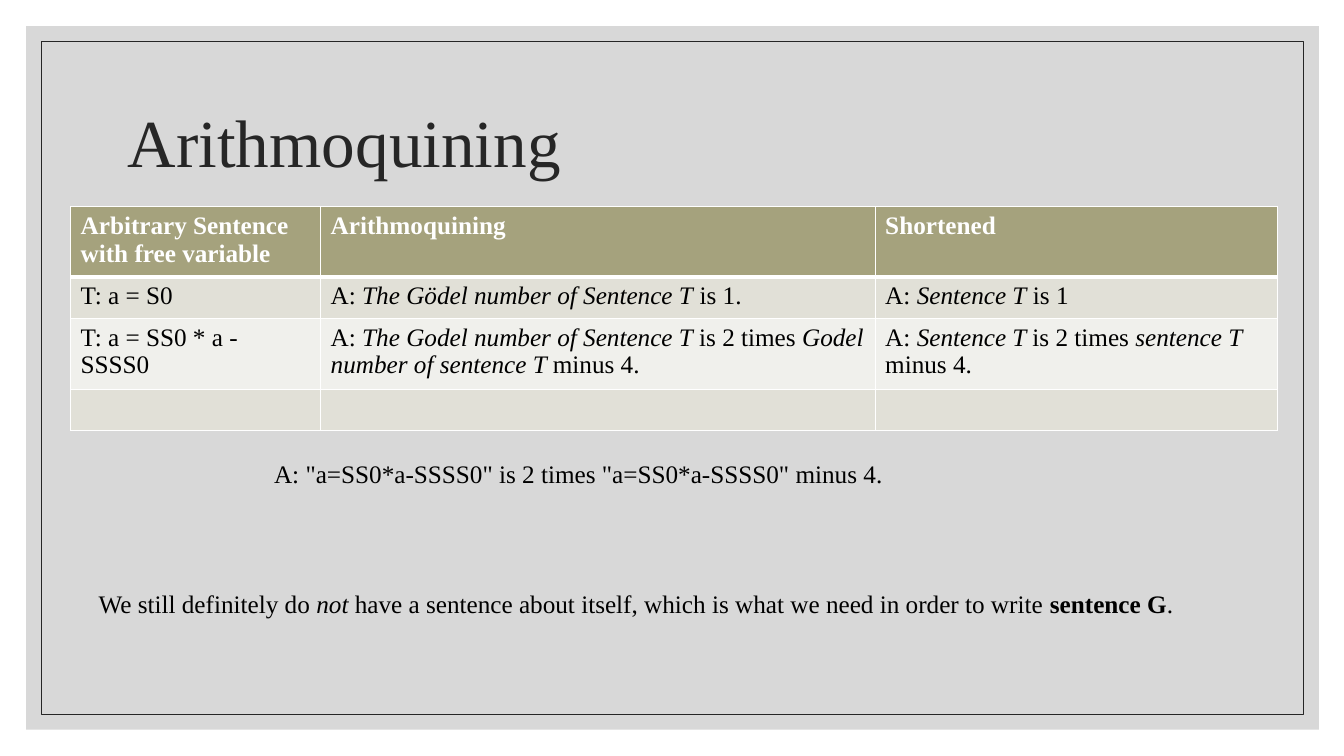
"""Build the Arithmoquining slide."""
from dataclasses import dataclass

from lxml.etree import SubElement
from pptx import Presentation
from pptx.dml.color import RGBColor
from pptx.enum.shapes import MSO_SHAPE
from pptx.enum.text import MSO_ANCHOR
from pptx.oxml import parse_xml
from pptx.oxml.ns import nsdecls, qn
from pptx.util import Inches, Pt


@dataclass(frozen=True)
class Theme:
    """Colours, font and type sizes of the slide."""
    font: str = "Times New Roman"
    title: int = 48
    body: int = 18
    dark: str = "262626"
    black: str = "000000"
    white: str = "FFFFFF"
    panel: str = "BFBFBF"
    head: str = "A5A27D"
    bands: tuple = ("E1E0D7", "F0F0EC")


THEME = Theme()
WIDTHS = (2.48, 5.5, 3.99)
HEIGHTS = (0.65, 0.41, 0.65, 0.41)


def ital(text):
    """Mark text as italic."""
    return text, "italic"


def bold(text):
    """Mark text as bold."""
    return text, "bold"


ROWS = (
    (["Arbitrary Sentence with free variable"], ["Arithmoquining"], ["Shortened"]),
    (
        ["T: a = S0"],
        ["A: ", ital("The Gödel number of Sentence T"), " is 1."],
        ["A: ", ital("Sentence T"), " is 1"],
    ),
    (
        ["T: a = SS0 * a - SSSS0"],
        ["A: ", ital("The Godel number of Sentence T "), "is 2 times ",
         ital("Godel number of sentence T "), "minus 4."],
        ["A: ", ital("Sentence T "), "is 2 times ", ital("sentence T "), "minus 4."],
    ),
    ([], [], []),
)


def tint(name):
    """Turn a hex name into a colour."""
    return RGBColor.from_string(name)


def write(frame, bits, size=THEME.body, color=THEME.black, strong=None):
    """Write plain and marked bits as one paragraph."""
    par = frame.paragraphs[0]
    par.font.name, par.font.size = THEME.font, Pt(size)
    par.font.color.rgb = tint(color)
    par.font.bold = strong
    for bit in bits:
        text, style = (bit, None) if isinstance(bit, str) else bit
        run = par.add_run()
        run.text = text
        if style:
            setattr(run.font, style, True)
    return par


def add_text(slide, box, bits, **look):
    """Add a wrapped text box and return its frame."""
    frame = slide.shapes.add_textbox(*map(Inches, box)).text_frame
    frame.word_wrap = True
    write(frame, bits, **look)
    return frame


def add_rect(slide, box):
    """Add a bare rectangle without shadow, fill or line."""
    rect = slide.shapes.add_shape(MSO_SHAPE.RECTANGLE, *map(Inches, box))
    rect.shadow.inherit = False
    rect.fill.background()
    rect.line.fill.background()
    return rect


def add_frame(slide):
    """Add the grey panel and the thin line inside it."""
    panel = add_rect(slide, (0.26, 0.26, 12.82, 6.98))
    panel.fill.solid()
    panel.fill.fore_color.rgb = tint(THEME.panel)
    color = panel.fill._xPr.find(qn("a:solidFill"))[0]
    SubElement(color, qn("a:alpha"), val="60000")
    edge = add_rect(slide, (0.41, 0.41, 12.52, 6.68))
    edge.line.color.rgb = tint(THEME.dark)
    edge.line.width = Pt(0.5)


def set_edges(cell, top, bottom):
    """Draw white borders round a cell, with widths in points."""
    props = cell._tc.get_or_add_tcPr()
    sides = (("lnL", 1), ("lnR", 1), ("lnT", top), ("lnB", bottom))
    for spot, (side, width) in enumerate(sides):
        props.insert(spot, parse_xml(
            f'<a:{side} {nsdecls("a")} w="{Pt(width)}"><a:solidFill>'
            f'<a:srgbClr val="{THEME.white}"/></a:solidFill></a:{side}>'))


def add_grid(slide):
    """Add the table of sentences."""
    box = (0.7, 2.05, sum(WIDTHS), sum(HEIGHTS))
    table = slide.shapes.add_table(
        len(ROWS), len(WIDTHS), *map(Inches, box)).table
    for col, width in zip(table.columns, WIDTHS):
        col.width = Inches(width)
    for i, (row, height) in enumerate(zip(ROWS, HEIGHTS)):
        table.rows[i].height = Inches(height)
        head = i == 0
        fill = THEME.head if head else THEME.bands[(i - 1) % 2]
        color = THEME.white if head else THEME.black
        for j, bits in enumerate(row):
            cell = table.cell(i, j)
            cell.fill.solid()
            cell.fill.fore_color.rgb = tint(fill)
            write(cell.text_frame, bits, color=color, strong=head)
            set_edges(cell, 3 if i == 1 else 1, 3 if head else 1)


def main():
    """Build and save the slide."""
    deck = Presentation()
    deck.slide_width, deck.slide_height = Inches(13.33), Inches(7.5)
    slide = deck.slides.add_slide(deck.slide_layouts[6])
    add_frame(slide)
    title = add_text(slide, (1.17, 0.7, 11, 1.5), ["Arithmoquining"],
                     size=THEME.title, color=THEME.dark)
    title.vertical_anchor = MSO_ANCHOR.MIDDLE
    title.paragraphs[0].line_spacing = 0.9
    add_grid(slide)
    add_text(slide, (2.62, 4.5, 6.67, 0.4),
             ['A: "a=SS0*a-SSSS0" is 2 times "a=SS0*a-SSSS0" minus 4.'])
    add_text(slide, (0.88, 5.79, 11.27, 0.4), [
        "We still definitely do ", ital("not"),
        " have a sentence about itself, which is what we need in order to write ",
        bold("sentence G"), "."])
    deck.save("out.pptx")


if __name__ == "__main__":
    main()
